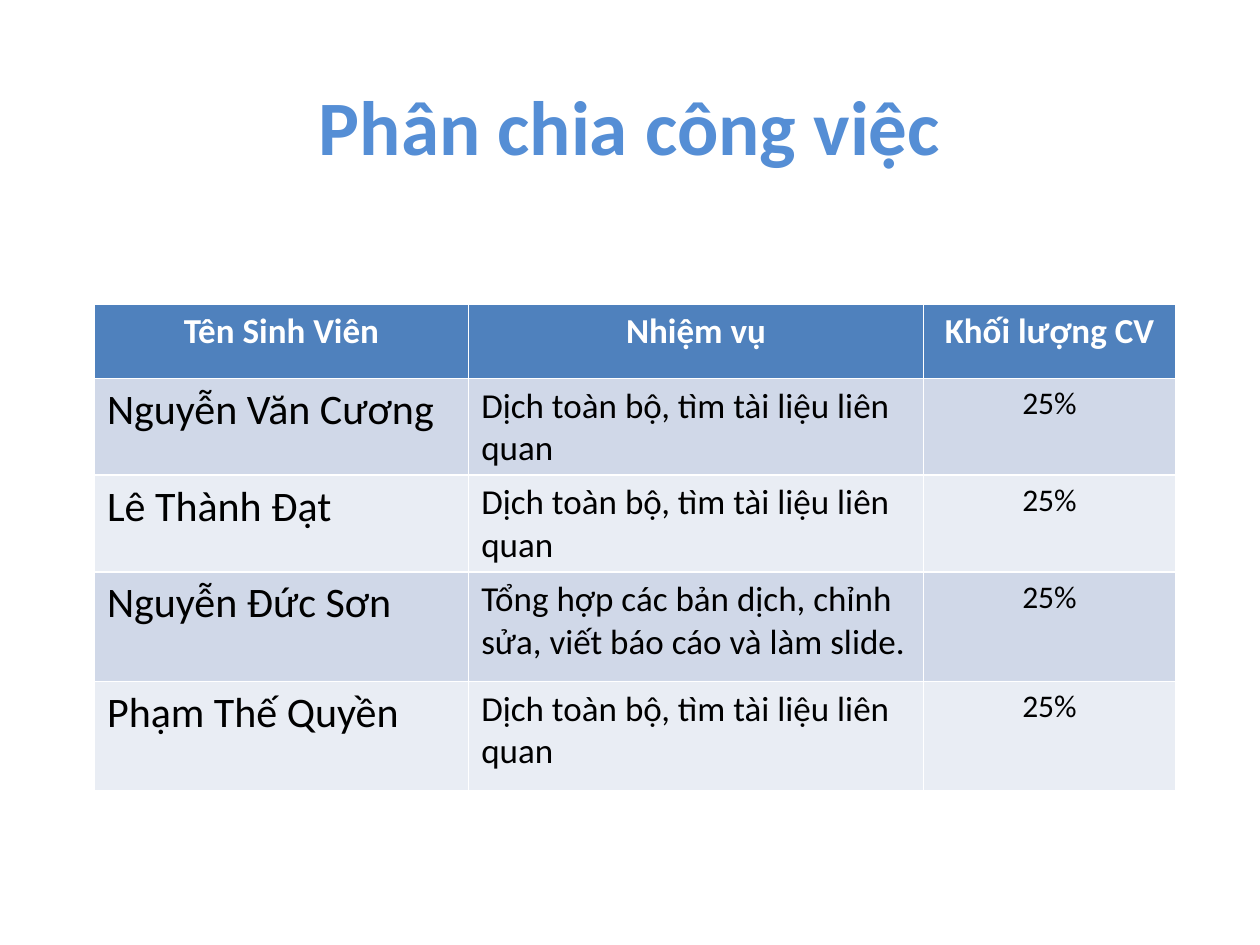
import dataclasses

import pptx
import pptx.dml.color
import pptx.enum.text
import pptx.util

Pt = pptx.util.Pt
Align = pptx.enum.text.PP_ALIGN


@dataclasses.dataclass(frozen=True)
class Theme:
    """Colours, font and type sizes of the slide."""
    font: str = "Calibri"
    title: str = "558ED5"
    header: str = "4F81BD"
    header_text: str = "FFFFFF"
    body_text: str = "000000"
    bands: tuple = ("D0D8E8", "E9EDF4")
    title_size: int = 44
    header_size: int = 20
    column_sizes: tuple = (24, 20, 18)


THEME = Theme()
SHARED_TASK = "Dịch toàn bộ, tìm tài liệu liên quan"
HEADINGS = ("Tên Sinh Viên", "Nhiệm vụ", "Khối lượng CV")
ASSIGNMENTS = (
    ("Nguyễn Văn Cương", SHARED_TASK, "25%"),
    ("Lê Thành Đạt", SHARED_TASK, "25%"),
    ("Nguyễn Đức Sơn", "Tổng hợp các bản dịch, chỉnh sửa, viết báo cáo và làm slide.", "25%"),
    ("Phạm Thế Quyền", SHARED_TASK, "25%"),
)
COLUMN_WIDTHS = (213.84, 259.92, 144)
ROW_HEIGHTS = (42.48, 54, 51.12, 62.64, 62.64)


def write_text(frame, text, size, colour, bold, align):
    """Put one formatted paragraph into a text frame."""
    frame.text = text
    para = frame.paragraphs[0]
    para.alignment = align
    for span in para.runs:
        span.font.name = THEME.font
        span.font.size = Pt(size)
        span.font.bold = bold
        span.font.color.rgb = pptx.dml.color.RGBColor.from_string(colour)


def add_title(page, text, left, top, width, height):
    """Add the centred slide title in the given box."""
    box = page.shapes.add_textbox(Pt(left), Pt(top), Pt(width), Pt(height))
    frame = box.text_frame
    frame.word_wrap = True
    frame.vertical_anchor = pptx.enum.text.MSO_ANCHOR.MIDDLE
    write_text(frame, text, THEME.title_size, THEME.title, True, Align.CENTER)


def add_assignments(page, left, top):
    """Add the table of students, tasks and shares at the given corner."""
    rows = (HEADINGS, *ASSIGNMENTS)
    table = page.shapes.add_table(
        len(rows), len(HEADINGS), Pt(left), Pt(top),
        Pt(sum(COLUMN_WIDTHS)), Pt(sum(ROW_HEIGHTS))).table
    for column, width in zip(table.columns, COLUMN_WIDTHS):
        column.width = Pt(width)
    for row_index, (values, height) in enumerate(zip(rows, ROW_HEIGHTS)):
        table.rows[row_index].height = Pt(height)
        is_header = row_index == 0
        fill = THEME.header if is_header else THEME.bands[(row_index - 1) % 2]
        colour = THEME.header_text if is_header else THEME.body_text
        for column_index, value in enumerate(values):
            cell = table.cell(row_index, column_index)
            cell.fill.solid()
            cell.fill.fore_color.rgb = pptx.dml.color.RGBColor.from_string(fill)
            size = THEME.header_size if is_header else THEME.column_sizes[column_index]
            centred = is_header or column_index == len(values) - 1
            write_text(cell.text_frame, value, size, colour, is_header,
                       Align.CENTER if centred else Align.LEFT)


def build_deck():
    """Build the one-slide deck and save it."""
    deck = pptx.Presentation()
    deck.slide_width, deck.slide_height = Pt(720), Pt(540)
    page = deck.slides.add_slide(deck.slide_layouts[6])
    add_title(page, "Phân chia công việc", 0, 26, 720, 90)
    add_assignments(page, 54, 173.8)
    deck.save("out.pptx")


build_deck()
